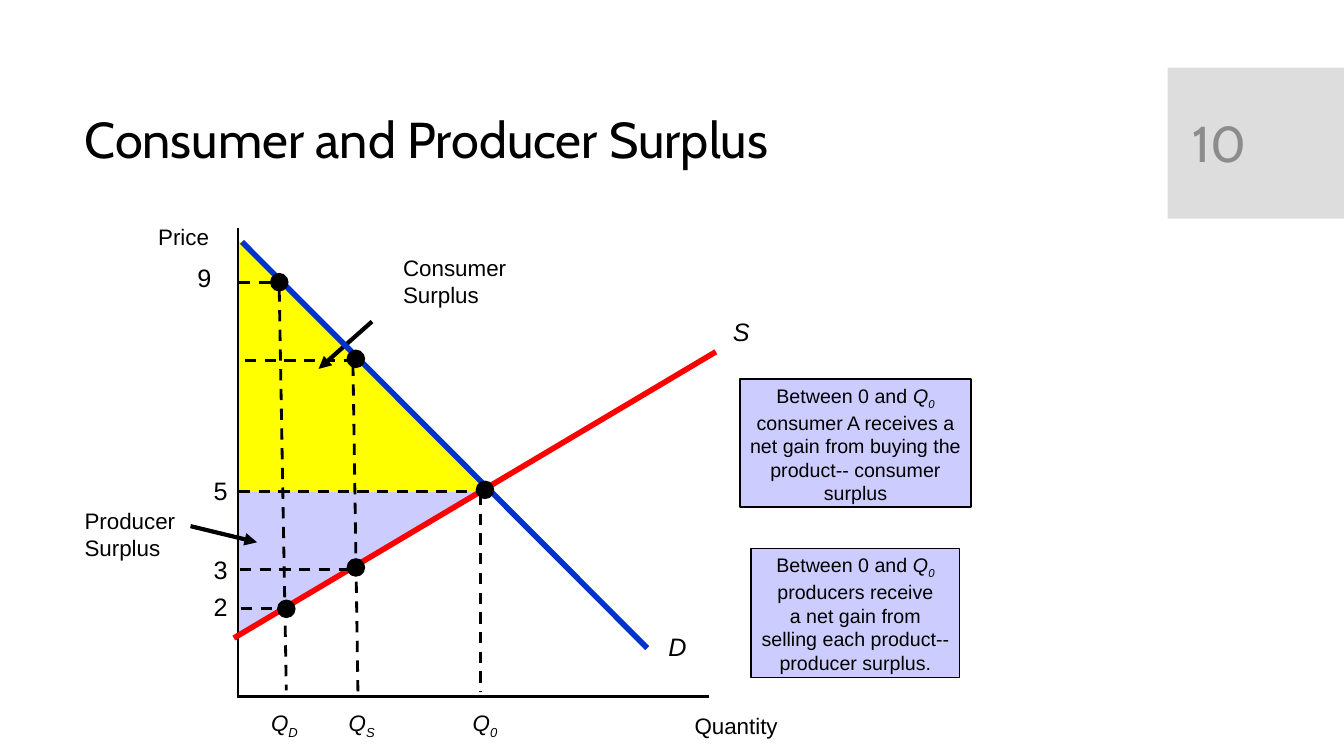
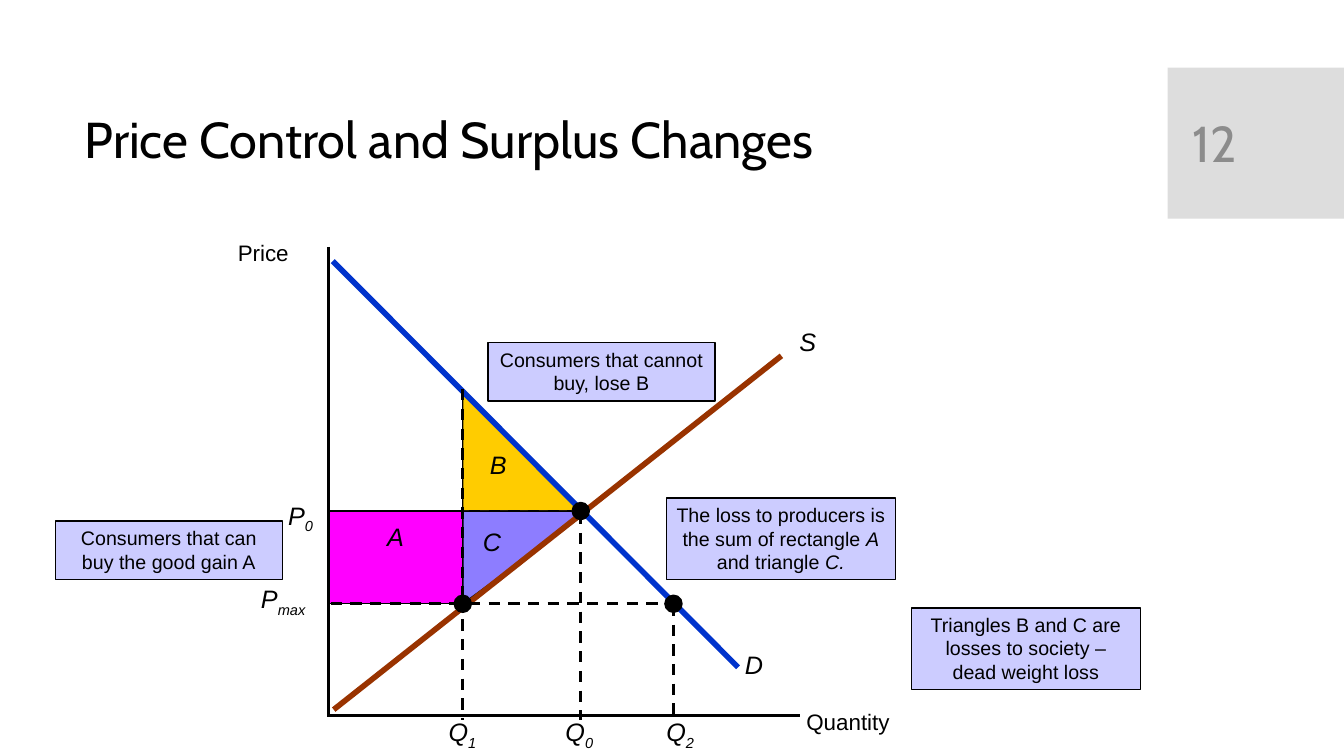
from lxml import etree
from pptx import Presentation
from pptx.dml.color import RGBColor
from pptx.enum.dml import MSO_LINE
from pptx.enum.shapes import MSO_CONNECTOR, MSO_SHAPE
from pptx.enum.text import MSO_ANCHOR, MSO_AUTO_SIZE, PP_ALIGN
from pptx.oxml.ns import qn
from pptx.util import Inches, Pt

STRAIGHT = MSO_CONNECTOR.STRAIGHT
RECTANGLE, TRIANGLE, OVAL = MSO_SHAPE.RECTANGLE, MSO_SHAPE.RIGHT_TRIANGLE, MSO_SHAPE.OVAL
DASH = MSO_LINE.DASH
TOP, MIDDLE = MSO_ANCHOR.TOP, MSO_ANCHOR.MIDDLE
LEFT, CENTER = PP_ALIGN.LEFT, PP_ALIGN.CENTER
GROW, FIXED = MSO_AUTO_SIZE.SHAPE_TO_FIT_TEXT, MSO_AUTO_SIZE.NONE

COLORS = {
    "ink": "000000", "band": "DDDDDD", "number": "8C8C8C", "lilac": "CCCCFF",
    "yellow": "FFFF00", "gold": "FFCC00", "magenta": "FF00FF", "violet": "8D7DFF",
    "demand": "0033CC", "red": "FF0000", "brown": "993300",
}
HEADING_FONT, BODY_FONT = "Cabin", "Arial"
COLUMNS, ROWS = 133.3, 75
TITLE_ONLY = 5


def symbol(letter, subscript=""):
    return [(letter, "i"), (subscript, "sub")] if subscript else [(letter, "i")]


class Deck:
    """Draws market diagrams on a grid of 133.3 columns by 75 rows."""

    def __init__(self):
        self.deck = Presentation()
        self.deck.slide_width, self.deck.slide_height = Inches(13.33), Inches(7.5)
        self.slide = None

    def grid(self, *lengths):
        units = (self.deck.slide_width / COLUMNS, self.deck.slide_height / ROWS)
        return [round(length * units[i % 2]) for i, length in enumerate(lengths)]

    def color(self, name):
        return RGBColor.from_string(COLORS[name])

    def add_text(self, frame, paragraphs, size, align=LEFT, font=BODY_FONT, color="ink"):
        for i, content in enumerate(paragraphs):
            paragraph = frame.paragraphs[0] if i == 0 else frame.add_paragraph()
            paragraph.alignment = align
            for text, style in [(content, "")] if isinstance(content, str) else content:
                run = paragraph.add_run()
                run.text = text
                run.font.size, run.font.name = Pt(size), font
                run.font.color.rgb = self.color(color)
                run.font.italic = style in ("i", "sub")
                if style == "sub":
                    run._r.get_or_add_rPr().set("baseline", "-25000")

    def new_slide(self, title, number):
        self.slide = self.deck.slides.add_slide(self.deck.slide_layouts[TITLE_ONLY])
        self.area(RECTANGLE, (115.8, 6.7, 17.5, 15), "band", outlined=False)
        heading = self.slide.shapes.title
        heading.left, heading.top, heading.width, heading.height = self.grid(7.4, 8.2, 105.1, 11.8)
        page = self.slide.shapes.add_textbox(*self.grid(117.3, 8.2, 12.6, 11.9))
        for holder, text, color in ((heading, title, "ink"), (page, number, "number")):
            frame = holder.text_frame
            frame.word_wrap, frame.auto_size = True, FIXED
            frame.vertical_anchor = MIDDLE
            self.add_text(frame, [text], 36, font=HEADING_FONT, color=color)
        heading.text_frame.paragraphs[0].line_spacing = 0.9

    def area(self, kind, box, fill, outlined=True, turned=False):
        left, top, width, height = box
        if turned:
            left, top = left + (width - height) / 2, top + (height - width) / 2
            width, height = height, width
        shape = self.slide.shapes.add_shape(kind, *self.grid(left, top, width, height))
        shape.rotation = 90 if turned else 0
        shape.shadow.inherit = False
        shape.fill.solid()
        shape.fill.fore_color.rgb = self.color(fill)
        if outlined:
            shape.line.color.rgb = self.color("ink")
            shape.line.width = Pt(1)
        else:
            shape.line.fill.background()
        return shape

    def note(self, box, paragraphs, wrap=True):
        frame = self.area(RECTANGLE, box, "lilac").text_frame
        frame.word_wrap, frame.auto_size = wrap, GROW
        frame.vertical_anchor = TOP
        self.add_text(frame, paragraphs, 14, CENTER)

    def label(self, left, top, width, paragraphs, size=18):
        height = 1 + size * len(paragraphs) / 6
        frame = self.slide.shapes.add_textbox(*self.grid(left, top, width, height)).text_frame
        frame.word_wrap, frame.auto_size = False, GROW
        self.add_text(frame, paragraphs, size)

    def line(self, start, end, color="ink", weight=2, dashed=False, arrow=False):
        connector = self.slide.shapes.add_connector(STRAIGHT, *self.grid(*start, *end))
        connector.line.color.rgb = self.color(color)
        connector.line.width = Pt(weight)
        if dashed:
            connector.line.dash_style = DASH
        properties = connector._element.spPr
        if arrow:
            etree.SubElement(properties.find(qn("a:ln")), qn("a:tailEnd"), type="triangle")
        etree.SubElement(properties, qn("a:effectLst"))

    def guides(self, *segments):
        for start, end in segments:
            self.line(start, end, dashed=True)

    def dots(self, *centers):
        for x, y in centers:
            self.area(OVAL, (x - 0.85, y - 0.85, 1.7, 1.7), "ink")

    def market(self, origin, supply, supply_color):
        x, y = origin
        self.line((x, y - 46.5), (x, y + 0.1))
        self.line((x - 0.1, y), (x + 46.7, y))
        self.line(*supply, color=supply_color, weight=4)
        self.line((x + 0.4, y - 45.1), (x + 40.6, y - 4.8), color="demand", weight=4)


def surplus_slide(deck):
    deck.new_slide("Consumer and Producer Surplus", "10")
    deck.area(TRIANGLE, (23.6, 48.8, 24.2, 14.2), "lilac", outlined=False, turned=True)
    deck.area(TRIANGLE, (23.6, 23.8, 25, 25), "yellow", outlined=False)
    deck.line((36.9, 31.9), (31.6, 36.6), weight=3, arrow=True)
    deck.market((23.6, 69.1), ((23.2, 63.3), (71, 34.9)), "red")
    deck.line((18.9, 52.2), (25.5, 53.8), weight=3, arrow=True)
    deck.guides(
        ((23.7, 28), (27.6, 28)),
        ((24.3, 35.8), (35.5, 35.8)),
        ((23.7, 48.8), (48.4, 48.8)),
        ((23.8, 56.5), (35, 56.5)),
        ((23.9, 60.4), (28, 60.4)),
        ((27.7, 28.8), (28.4, 68.5)),
        ((35.5, 68.6), (35, 35.6)),
        ((47.7, 49), (47.7, 68.7)),
    )
    deck.dots((27.7, 28), (35.3, 35.6), (48.1, 48.6), (35.3, 56.3), (28.4, 60.4))
    for left, top, price in ((18.6, 25.5, "9"), (20.2, 46.7, "5"), (20.2, 54.5, "3"), (20.2, 58.2, "2")):
        deck.label(left, top, 3.4, [price])
    for left, subscript in ((25.9, "D"), (33.6, "S"), (45.9, "0")):
        deck.label(left, 69.9, 4.8, [symbol("Q", subscript)], 16)
    deck.label(71.7, 30.9, 3.7, [symbol("S")])
    deck.label(65.3, 62.1, 3.8, [symbol("D")])
    deck.label(14.7, 21.6, 7.1, ["Price"], 16)
    deck.label(67.9, 70.2, 10.4, ["Quantity"], 16)
    deck.label(39, 24.7, 12.3, ["Consumer", "Surplus"], 16)
    deck.label(7.4, 49.8, 11.1, ["Producer", "Surplus"], 16)
    opening = [("Between 0 and ", ""), *symbol("Q", "0")]
    gain = " consumer A receives a net gain from buying the product-- consumer surplus"
    deck.note((73.4, 37.6, 22.9, 12.7), [opening + [(gain, "")]])
    deck.note(
        (74.5, 54.4, 20.7, 12.8),
        [opening, "producers receive", "a net gain from", "selling each product--", "producer surplus."],
        wrap=False,
    )


def price_control_slide(deck):
    deck.new_slide("Price Control and Surplus Changes", "12")
    deck.area(TRIANGLE, (45.9, 39, 11.7, 11.7), "gold")
    deck.area(RECTANGLE, (32.6, 50.7, 13.3, 9.2), "magenta")
    deck.area(TRIANGLE, (45.9, 50.7, 12.5, 9.2), "violet", turned=True)
    deck.market((32.6, 71), ((33.1, 70.4), (77.5, 35.3)), "brown")
    deck.guides(
        ((32.8, 50.7), (56.6, 50.7)),
        ((32.8, 59.9), (65.8, 59.9)),
        ((45.9, 38.6), (45.9, 59.8)),
        ((45.9, 59.5), (45.9, 71.4)),
        ((57.6, 50.9), (57.6, 71.4)),
        ((66.8, 60), (66.8, 71.4)),
    )
    deck.dots((57.6, 50.7), (45.9, 59.9), (66.8, 59.9))
    for left, top, letter in (
        (37.4, 51.2, "A"), (47.6, 44.1, "B"), (46.9, 51.7, "C"), (78.3, 31.9, "S"), (72.9, 63.9, "D"),
    ):
        deck.label(left, top, 3.8, [symbol(letter)])
    for left, subscript in ((43.5, "1"), (55.1, "0"), (65.1, "2")):
        deck.label(left, 70.6, 4.9, [symbol("Q", subscript)])
    deck.label(27.6, 49.1, 4.6, [symbol("P", "0")])
    deck.label(24.9, 57.4, 7, [symbol("P", "max")])
    deck.label(22.6, 23.2, 7.1, ["Price"], 16)
    deck.label(79, 69.8, 10.4, ["Quantity"], 16)
    deck.note((48.4, 34, 22.5, 5.8), ["Consumers that cannot buy, lose B"])
    deck.note((5.5, 51.7, 22.5, 5.8), ["Consumers that can buy the good gain A"])
    producer_loss = [
        ("The loss to producers is the sum of rectangle ", ""), ("A", "i"),
        (" and triangle ", ""), ("C.", "i"),
    ]
    deck.note((66.1, 49.4, 22.7, 8.1), [producer_loss])
    deck.note((90.4, 60.3, 22.7, 8.1), ["Triangles B and C are losses to society – dead weight loss"])


def main():
    deck = Deck()
    surplus_slide(deck)
    price_control_slide(deck)
    deck.deck.save("out.pptx")


if __name__ == "__main__":
    main()
